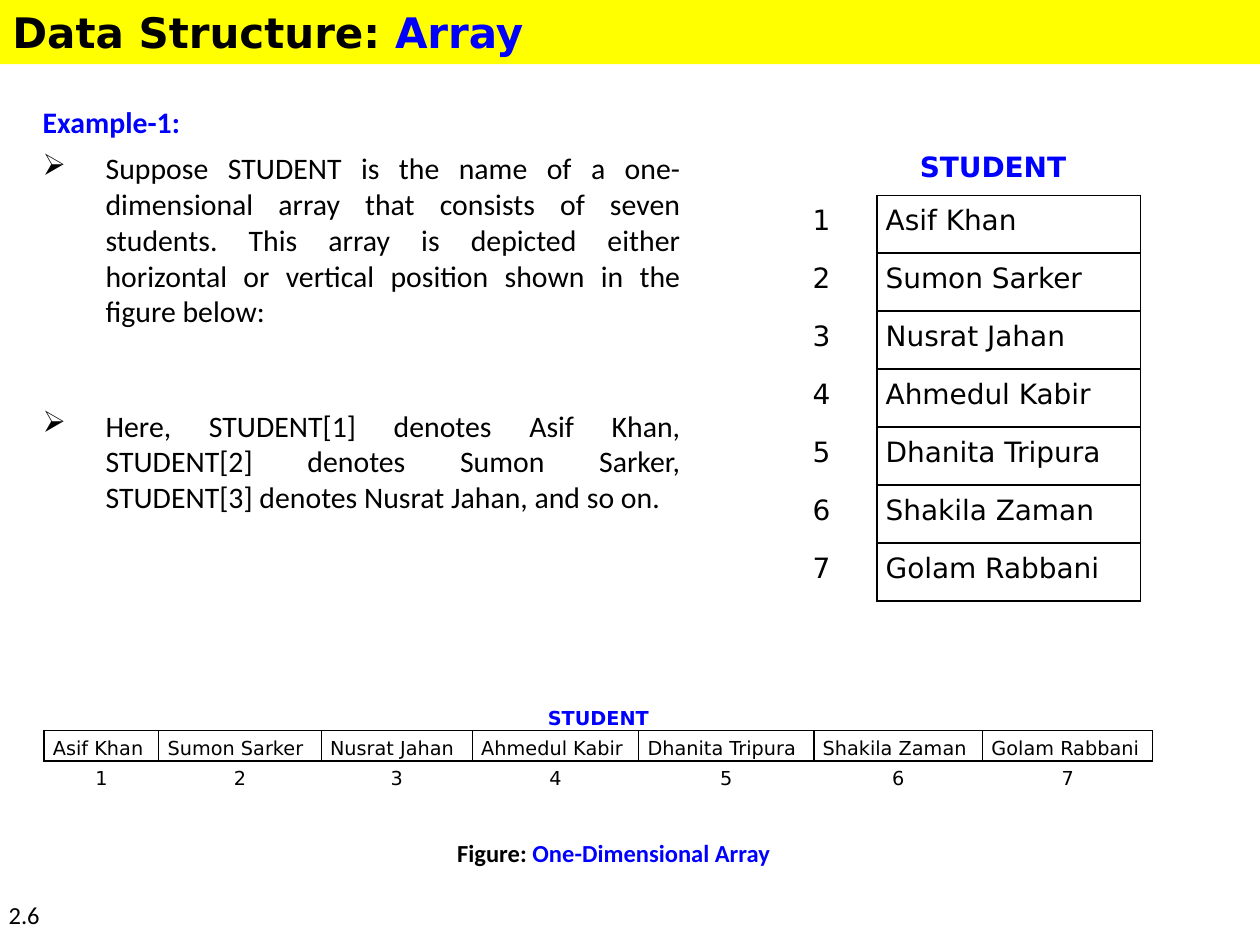
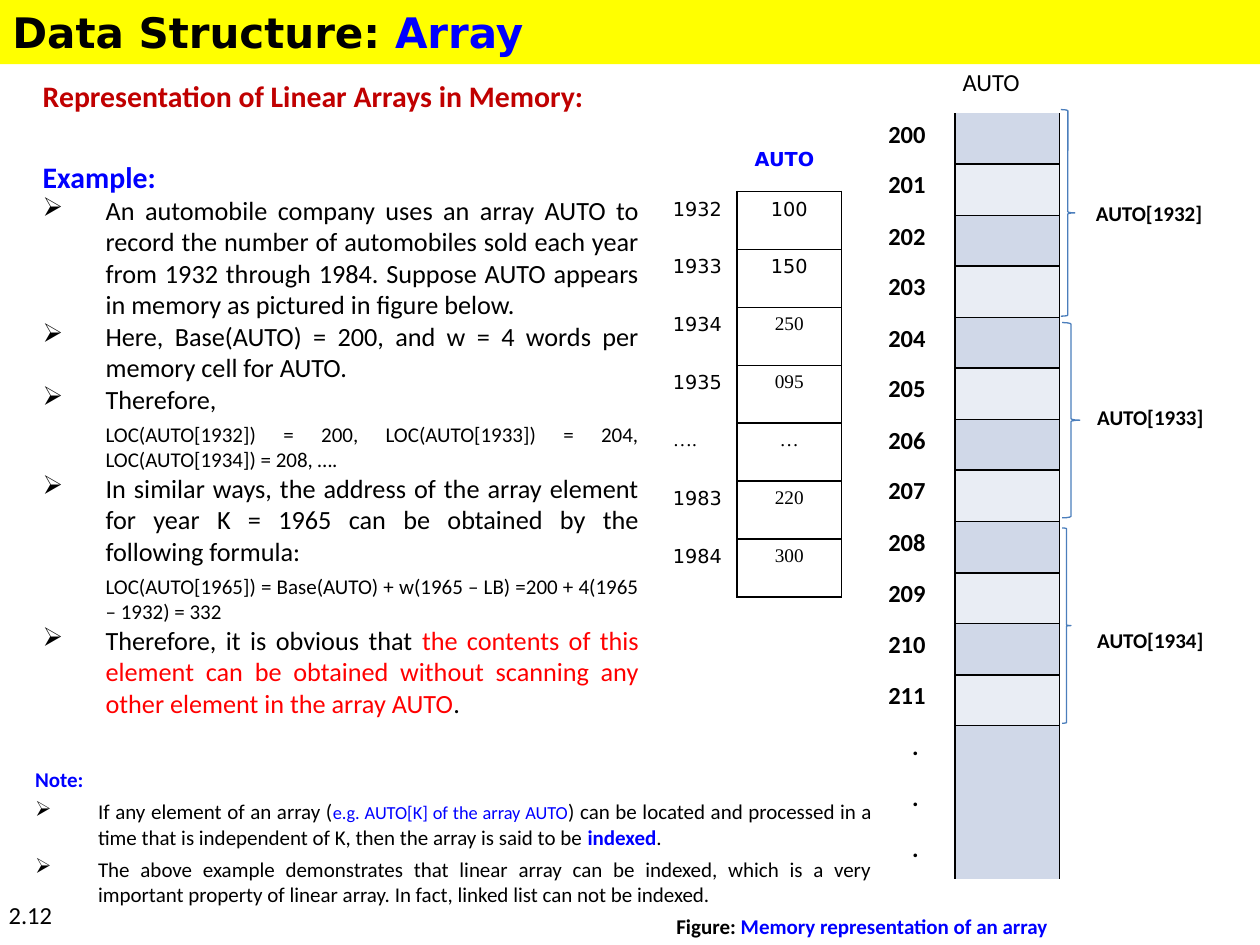
from dataclasses import dataclass

from lxml import etree
from pptx import Presentation
from pptx.dml.color import RGBColor
from pptx.enum.shapes import MSO_SHAPE
from pptx.enum.text import MSO_ANCHOR, PP_ALIGN
from pptx.oxml.ns import qn
from pptx.util import Emu, Pt

# Shared look
EMU_PER_PX = 9144  # 100 px to the inch
SLIDE_W, SLIDE_H = 1000, 750

BLACK = RGBColor(0x00, 0x00, 0x00)
BLUE = RGBColor(0x00, 0x00, 0xFF)
RED = RGBColor(0xFF, 0x00, 0x00)
DARK_RED = RGBColor(0xC0, 0x00, 0x00)
YELLOW = RGBColor(0xFF, 0xFF, 0x00)
BRACE_BLUE = RGBColor(0x4B, 0x7E, 0xBC)
CELL_DARK = RGBColor(0xD0, 0xD8, 0xE8)
CELL_LIGHT = RGBColor(0xE9, 0xED, 0xF4)

CALIBRI, DEJAVU, TIMES = "Calibri", "DejaVu Sans", "Times New Roman"
LEFT, CENTER, JUSTIFY = PP_ALIGN.LEFT, PP_ALIGN.CENTER, PP_ALIGN.JUSTIFY
TOP, MIDDLE = MSO_ANCHOR.TOP, MSO_ANCHOR.MIDDLE
RECT, RIGHT_BRACE = MSO_SHAPE.RECTANGLE, MSO_SHAPE.RIGHT_BRACE

PLAIN_TABLE = "{2D5ABB26-0587-4C30-8999-92F81FD0307C}"
INDENT = 50
TIGHT = (7, 0, 7, 0)
NORMAL = (10, 5, 10, 5)


@dataclass
class Run:
    text: str
    size: float
    color: RGBColor = BLACK
    bold: bool = False
    font: str = CALIBRI


@dataclass
class Para:
    runs: list[Run]
    align: PP_ALIGN = LEFT
    before: float = 0
    after: float = 0
    spacing: float = 1.0
    bullet: bool = False
    indented: bool = False


@dataclass
class Cell:
    para: Para | None = None
    sides: str = ""  # any of L, R, T, B
    fill: RGBColor | None = None
    insets: tuple[int, int, int, int] = TIGHT


def px(n: int) -> Emu:
    return Emu(n * EMU_PER_PX)


def split(total: int, n: int) -> list[int]:
    """Divide a length into n nearly equal whole parts."""
    edges = [round(total * i / n) for i in range(n + 1)]
    return [b - a for a, b in zip(edges, edges[1:])]


# Text
def add_text(p, text: str, *, size: float, color: RGBColor, bold: bool, font: str) -> None:
    r = p.add_run()
    r.text = text
    r.font.size, r.font.bold, r.font.name = Pt(size), bold, font
    r.font.color.rgb = color


def fill_para(p, para: Para) -> None:
    p.alignment = para.align
    p.space_before, p.space_after = Pt(para.before), Pt(para.after)
    p.line_spacing = para.spacing
    pPr = p._p.get_or_add_pPr()
    if para.bullet or para.indented:
        pPr.set("marL", str(px(INDENT)))
        pPr.set("indent", str(px(-INDENT if para.bullet else 0)))
    if para.bullet:
        etree.SubElement(pPr, qn("a:buChar")).set("char", "➢")
    for run in para.runs:
        add_text(p, run.text, size=run.size, color=run.color, bold=run.bold, font=run.font)


def fill_frame(tf, paras: list[Para], anchor: MSO_ANCHOR = TOP) -> None:
    tf.word_wrap = True
    tf.vertical_anchor = anchor
    for i, para in enumerate(paras):
        fill_para(tf.add_paragraph() if i else tf.paragraphs[0], para)


def add_box(s, x: int, y: int, w: int, h: int, paras: list[Para],
            anchor: MSO_ANCHOR = TOP) -> None:
    sp = s.shapes.add_textbox(px(x), px(y), px(w), px(h))
    fill_frame(sp.text_frame, paras, anchor)


def add_caption(s, x: int, y: int, w: int, h: int, text: str, size: float) -> None:
    add_box(s, x, y, w, h, [Para([Run("Figure: ", size, bold=True),
                                  Run(text, size, BLUE, True)])])


# Tables
def set_borders(cell, sides: str) -> None:
    tcPr = cell._tc.get_or_add_tcPr()
    for i, side in enumerate(c for c in "LRTB" if c in sides):
        ln = etree.Element(qn(f"a:ln{side}"), w=str(Pt(1)))
        solid = etree.SubElement(ln, qn("a:solidFill"))
        etree.SubElement(solid, qn("a:srgbClr"), val=str(BLACK))
        tcPr.insert(i, ln)


def add_grid(s, x: int, y: int, cols: list[int], rows: list[int], cells: list[list[Cell]]):
    """Draw a table whose first row is one heading across all columns."""
    frame = s.shapes.add_table(len(rows), len(cols), px(x), px(y), px(sum(cols)), px(sum(rows)))
    table = frame.table
    table.first_row = table.horz_banding = False
    table._tbl.tblPr.find(qn("a:tableStyleId")).text = PLAIN_TABLE
    for col, w in zip(table.columns, cols):
        col.width = px(w)
    for row, h in zip(table.rows, rows):
        row.height = px(h)
    table.cell(0, 0).merge(table.cell(0, len(cols) - 1))
    for i, line in enumerate(cells):
        for j, item in enumerate(line):
            cell = table.cell(i, j)
            (cell.margin_left, cell.margin_top,
             cell.margin_right, cell.margin_bottom) = map(px, item.insets)
            if item.fill is None:
                cell.fill.background()
            else:
                cell.fill.solid()
                cell.fill.fore_color.rgb = item.fill
            set_borders(cell, item.sides)
            if item.para:
                fill_para(cell.text_frame.paragraphs[0], item.para)
    return table


def loose(text: str, size: float, align: PP_ALIGN = JUSTIFY, font: str = DEJAVU) -> Para:
    return Para([Run(text, size, font=font)], align, 6, 6, 1.3)


def heading(text: str, size: float, inset: int, align: PP_ALIGN = LEFT) -> Cell:
    return Cell(Para([Run(text, size, BLUE, True, DEJAVU)], align, spacing=1.3),
                insets=(inset, 0, 7, 0))


# Slide frame
def add_base(prs, number: str):
    s = prs.slides.add_slide(prs.slide_layouts[6])
    sp = s.shapes.add_shape(RECT, 0, 0, px(SLIDE_W), px(51))
    sp.shadow.inherit = False
    sp.fill.solid()
    sp.fill.fore_color.rgb = YELLOW
    sp.line.fill.background()
    fill_frame(sp.text_frame, [Para([Run("Data Structure: ", 24, BLACK, True, DEJAVU),
                                     Run("Array", 24, BLUE, True, DEJAVU)])])
    add_box(s, -3, 709, 82, 41, [Para([Run(number, 14)])])
    return s


# Slide 1: one-dimensional array
STUDENTS = ["Asif Khan", "Sumon Sarker", "Nusrat Jahan", "Ahmedul Kabir",
            "Dhanita Tripura", "Shakila Zaman", "Golam Rabbani"]


def build_student_slide(prs) -> None:
    s = add_base(prs, "2.6")

    def point(text: str, before: float) -> Para:
        return Para([Run(text, 17)], JUSTIFY, before, 6, bullet=True)

    add_box(s, 24, 62, 526, 367, [
        Para([Run("Example-1:", 17, BLUE, True)]),
        point("Suppose STUDENT is the name of a one-dimensional array that consists of "
              "seven students. This array is depicted either horizontal or vertical "
              "position shown in the figure below:", 6),
        point("Here, STUDENT[1] denotes Asif Khan, STUDENT[2] denotes Sumon Sarker, "
              "STUDENT[3] denotes Nusrat Jahan, and so on.", 39),
    ], MIDDLE)

    # Vertical array
    rows = [[Cell(loose(str(i), 16)), Cell(loose(name, 16), "LRTB")]
            for i, name in enumerate(STUDENTS, 1)]
    add_grid(s, 638, 113, [58, 209], [42] + [46] * 7, [[heading("STUDENT", 16, 92)]] + rows)

    # Horizontal array
    def flat(text: str, align: PP_ALIGN) -> Para:
        return Para([Run(text, 11, font=DEJAVU)], align, 0, 6, 1.3)

    add_grid(s, 35, 556, [91, 129, 120, 132, 139, 134, 135], [24] * 3, [
        [heading("STUDENT", 11, 7, CENTER)],
        [Cell(flat(name, JUSTIFY), "LRTB") for name in STUDENTS],
        [Cell(flat(str(i), CENTER), "T") for i in range(1, 8)],
    ])
    add_caption(s, 353, 660, 366, 34, "One-Dimensional Array", 14)


# Slide 2: array in memory
SALES = [("1932", "100"), ("1933", "150"), ("1934", "250"), ("1935", "095"),
         ("….", "…"), ("1983", "220"), ("1984", "300")]


@dataclass
class Brace:
    x: int
    y: int
    w: int
    h: int
    label: str
    label_x: int
    label_y: int


BRACES = [Brace(842, 87, 11, 164, "AUTO[1932]", 860, 154),
          Brace(843, 256, 14, 155, "AUTO[1933]", 861, 316),
          Brace(843, 419, 7, 155, "AUTO[1934]", 861, 493)]


def add_brace(s, b: Brace) -> None:
    sp = s.shapes.add_shape(RIGHT_BRACE, px(b.x), px(b.y), px(b.w), px(b.h))
    sp.shadow.inherit = False
    sp.fill.background()
    sp.line.color.rgb = BRACE_BLUE
    sp.line.width = Pt(0.75)
    add_box(s, b.label_x, b.label_y, 120, 30, [Para([Run(b.label, 12, bold=True)])])


def build_memory_slide(prs) -> None:
    s = add_base(prs, "2.12")
    add_box(s, 24, 56, 618, 39, [
        Para([Run("Representation of Linear Arrays in Memory:", 17, DARK_RED, True)])], MIDDLE)

    # Example
    def point(*runs: Run) -> Para:
        return Para(list(runs), JUSTIFY, bullet=True)

    def formula(text: str) -> Para:
        return Para([Run(text, 12)], JUSTIFY, 4, indented=True)

    add_box(s, 24, 94, 493, 508, [
        Para([Run("Example:", 17, BLUE, True)]),
        point(Run("An automobile company uses an array AUTO to record the number of "
                  "automobiles sold each year from 1932 through 1984. Suppose AUTO appears "
                  "in memory as pictured in figure below.", 15)),
        point(Run("Here, Base(AUTO) = 200, and w = 4 words per memory cell for AUTO.", 15)),
        point(Run("Therefore,", 15)),
        formula("LOC(AUTO[1932]) = 200, LOC(AUTO[1933]) = 204, LOC(AUTO[1934]) = 208, …."),
        point(Run("In similar ways, the address of the array element for year K = 1965 can "
                  "be obtained by the following formula:", 15)),
        formula("LOC(AUTO[1965]) = Base(AUTO) + w(1965 – LB) =200 + 4(1965 – 1932) = 332"),
        point(Run("Therefore, it is obvious that ", 15),
              Run("the contents of this element can be obtained without scanning any other "
                  "element in the array AUTO", 15, RED),
              Run(".", 15)),
    ], MIDDLE)

    # Sales by year
    rows = [[Cell(loose(year, 11, font=TIMES if year == "…." else DEJAVU)),
             Cell(loose(sold, 11, CENTER, DEJAVU if i < 2 else TIMES), "LRTB")]
            for i, (year, sold) in enumerate(SALES)]
    add_grid(s, 527, 113, [58, 81], [39] + [46] * 7, [[heading("AUTO", 11, 72)]] + rows)

    # Memory words
    cells = [[Cell(Para([Run("AUTO", 14)]), insets=(69, 5, 10, 5))]]
    for i in range(15):
        is_word = i < 12
        text, align = (str(200 + i), LEFT) if is_word else (".", CENTER)
        sides = "LR" + ("T" if 0 < i <= 12 else "") + ("B" if is_word else "")
        fill = CELL_LIGHT if is_word and i % 2 else CELL_DARK
        cells.append([Cell(Para([Run(text, 14, bold=True)], align), insets=NORMAL),
                      Cell(None, sides, fill)])
    table = add_grid(s, 695, 49, [63, 71], split(649, 16), cells)
    table.cell(13, 1).merge(table.cell(15, 1))
    for brace in BRACES:
        add_brace(s, brace)

    # Note and caption
    def note(*runs: Run) -> Para:
        return Para(list(runs), JUSTIFY, 2, 2, bullet=True)

    add_box(s, 18, 603, 684, 122, [
        Para([Run("Note:", 12, BLUE, True)], before=2, after=2),
        note(Run("If any element of an array (", 12),
             Run("e.g. AUTO[K] of the array AUTO", 10.5, BLUE),
             Run(") can be located and processed in a time that is independent of K, then "
                 "the array is said to be ", 12),
             Run("indexed", 12, BLUE, True),
             Run(".", 12)),
        note(Run("The above example demonstrates that linear array can be indexed, which is a "
                 "very important property of linear array. In fact, linked list can not be "
                 "indexed.", 12)),
    ], MIDDLE)
    add_caption(s, 527, 720, 410, 30, "Memory representation of an array", 12)


def main() -> None:
    prs = Presentation()
    prs.slide_width, prs.slide_height = px(SLIDE_W), px(SLIDE_H)
    build_student_slide(prs)
    build_memory_slide(prs)
    prs.save("out.pptx")


if __name__ == "__main__":
    main()
